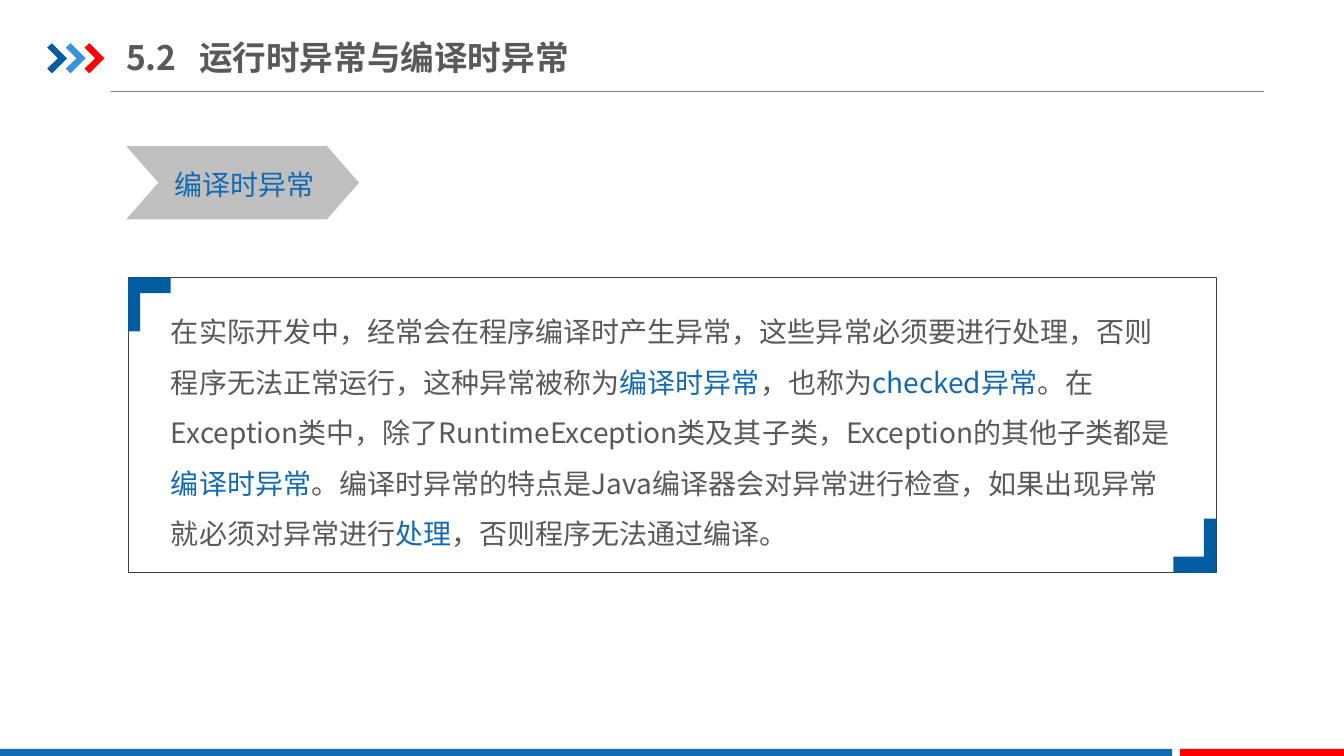
from lxml.etree import SubElement
from pptx import Presentation
from pptx.dml.color import RGBColor
from pptx.enum.shapes import MSO_CONNECTOR, MSO_SHAPE
from pptx.enum.text import MSO_ANCHOR
from pptx.oxml.ns import qn
from pptx.util import Cm, Pt

FONT = "Noto Sans CJK SC"
GREY, BLUE, NAVY, RED = "595959", "1369B2", "005DA2", "FF0000"

TITLE = [("5.2\t运行时异常与编译时异常", GREY)]
LABEL = [("编译时异常", BLUE)]
BODY = [
    ("在实际开发中，经常会在程序编译时产生异常，这些异常必须要进行处理，否则程序无法正常运行，这种异常被称为", GREY),
    ("编译时异常", BLUE),
    ("，也称为", GREY),
    ("checked异常", BLUE),
    ("。在Exception类中，除了RuntimeException类及其子类，Exception的其他子类都是", GREY),
    ("编译时异常", BLUE),
    ("。编译时异常的特点是Java编译器会对异常进行检查，如果出现异常就必须对异常进行", GREY),
    ("处理", BLUE),
    ("，否则程序无法通过编译。", GREY),
]
ARROW_COLOURS = [NAVY, "3992DB", RED]
ARROW = [(0, 0.11), (0.12, 0), (0.5, 0.38), (0.12, 0.76), (0, 0.64), (0.27, 0.38)]
ARROW_LEFT, ARROW_TOP, ARROW_STEP = 1.19, 1.09, 0.47
CORNER = [(0, 0), (1.07, 0), (1.07, 0.4), (0.3, 0.4), (0.3, 1.36), (0, 1.36)]
FOOTER_BARS = [(0, 29.54, BLUE), (29.74, 4.13, RED)]
FOOTER_TOP, FOOTER_HEIGHT = 18.87, 0.18
FRAME = (3.23, 6.99, 27.41, 7.44)


def colour(value):
    return RGBColor.from_string(value)


def style(shape, fill=None, line=None):
    shape.shadow.inherit = False
    if fill:
        shape.fill.solid()
        shape.fill.fore_color.rgb = colour(fill)
    else:
        shape.fill.background()
    if line:
        shape.line.color.rgb = colour(line)
        shape.line.width = Pt(0.25)
    else:
        shape.line.fill.background()


def add_preset(slide, kind, box, fill=None, line=None):
    shape = slide.shapes.add_shape(kind, *map(Cm, box))
    style(shape, fill, line)
    return shape


def add_outline(slide, points, left, top, fill, sign=1):
    corners = [(Cm(left + sign * x), Cm(top + sign * y)) for x, y in points]
    builder = slide.shapes.build_freeform(*corners[0])
    builder.add_line_segments(corners[1:], close=True)
    style(builder.convert_to_shape(), fill)


def add_text(slide, box, pieces, size, wrap=True, bold=False, tab=None):
    frame = slide.shapes.add_textbox(*map(Cm, box)).text_frame
    frame.word_wrap = wrap
    paragraph = frame.paragraphs[0]
    if tab:
        properties = paragraph._p.get_or_add_pPr()
        stops = SubElement(properties, qn("a:tabLst"))
        SubElement(stops, qn("a:tab"), pos=str(Cm(tab)), algn="l")
    paragraph.font.size = Pt(size)
    paragraph.font.bold = bold
    paragraph.font.name = FONT
    defaults = paragraph._p.pPr.find(qn("a:defRPr"))
    SubElement(defaults, qn("a:ea"), typeface=FONT)
    for text, shade in pieces:
        run = paragraph.add_run()
        run.text = text
        run.font.color.rgb = colour(shade)
    return frame


def main():
    """Build the slide on compile-time exceptions."""
    presentation = Presentation()
    presentation.slide_width, presentation.slide_height = Cm(33.87), Cm(19.05)
    slide = presentation.slides.add_slide(presentation.slide_layouts[6])

    rule = slide.shapes.add_connector(
        MSO_CONNECTOR.STRAIGHT, Cm(2.79), Cm(2.31), Cm(31.85), Cm(2.31))
    rule.line.color.rgb = colour("808080")
    rule.line.width = Pt(0.75)
    SubElement(rule._element.spPr, qn("a:effectLst"))

    for index, shade in enumerate(ARROW_COLOURS):
        add_outline(slide, ARROW, ARROW_LEFT + index * ARROW_STEP, ARROW_TOP, shade)
    for left, width, shade in FOOTER_BARS:
        add_preset(slide, MSO_SHAPE.RECTANGLE,
                   (left, FOOTER_TOP, width, FOOTER_HEIGHT), shade)

    banner = add_preset(slide, MSO_SHAPE.CHEVRON, (3.18, 3.68, 5.87, 1.85), "BFBFBF")
    banner.adjustments[0] = 0.44
    add_text(slide, (4.14, 4.09, 4.04, 1.12), LABEL, 20, wrap=False)

    body = add_text(slide, (4.06, 7.39, 25.73, 6.65), BODY, 20)
    body.paragraphs[0].line_spacing = 1.5

    title = add_text(slide, (3.18, 0.74, 12.67, 1.4), TITLE, 24, bold=True, tab=1.84)
    title.vertical_anchor = MSO_ANCHOR.MIDDLE
    title.margin_left = title.margin_right = 0

    left, top, width, height = FRAME
    add_preset(slide, MSO_SHAPE.RECTANGLE, FRAME, line="404040")
    add_outline(slide, CORNER, left, top, NAVY)
    add_outline(slide, CORNER, left + width, top + height, NAVY, sign=-1)

    presentation.save("out.pptx")


if __name__ == "__main__":
    main()
